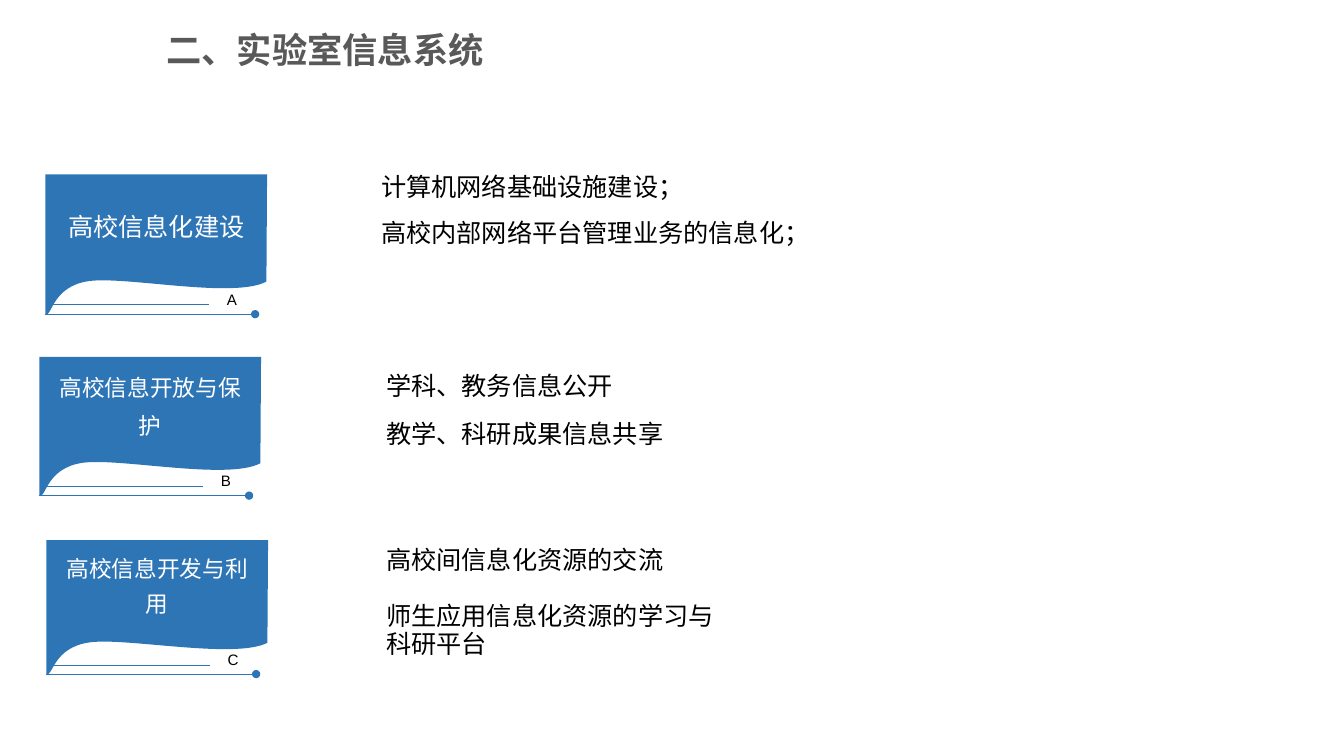
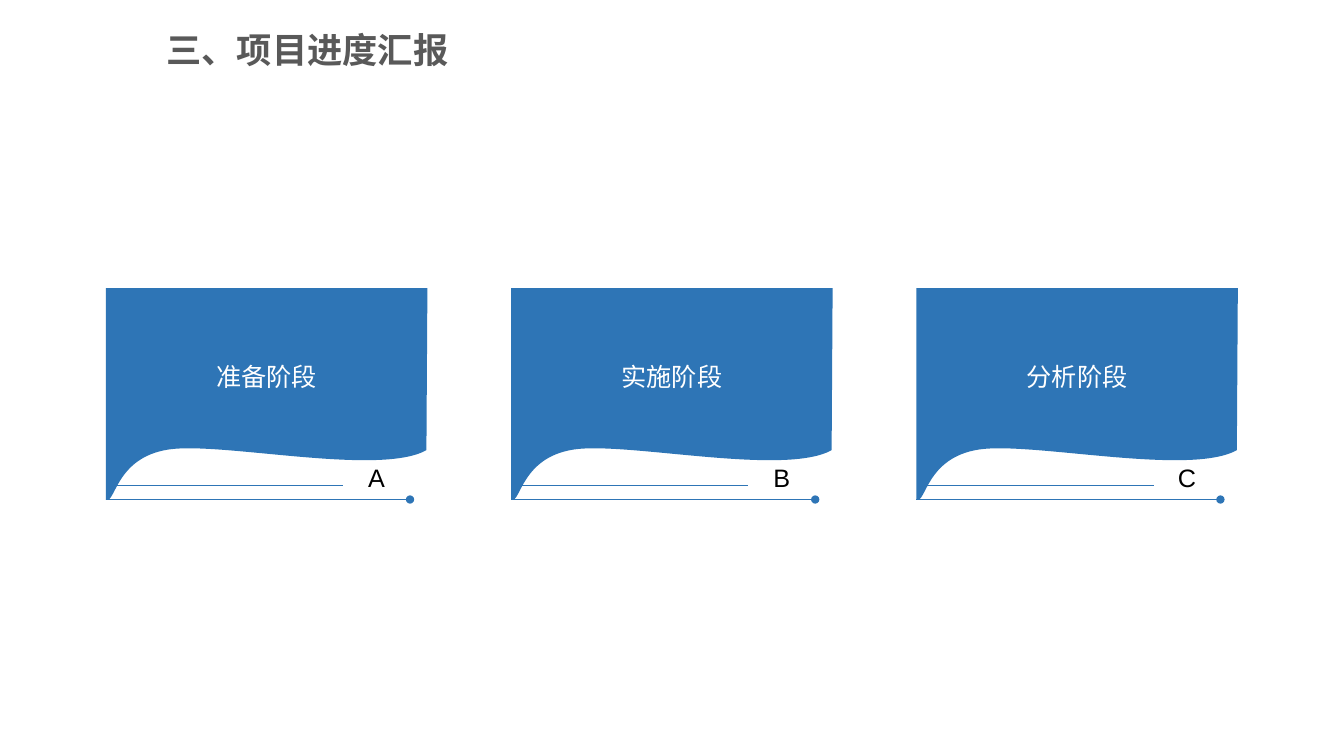
from lxml import etree
from pptx import Presentation
from pptx import util as u
from pptx.dml.color import RGBColor
from pptx.enum import lang, shapes, text
from pptx.oxml import ns

# Content: cards are (title, size, line spacing), lists are (text, leading, gap)
HEADS = ["二、实验室信息系统", "三、项目进度汇报"]
TOPICS = [("高校信息化建设", 18, 1.5),
          ("高校信息开放与保护", 16.2, 1.4),
          ("高校信息开发与利用", 16.2, 1.3)]
STAGES = [(name, 18, 1.5) for name in ("准备阶段", "实施阶段", "分析阶段")]
BUILD = [("计算机网络基础设施建设；", 16, 0),
         ("高校内部网络平台管理业务的信息化；", 17, 16)]
SHARE = [("学科、教务信息公开", 17, 0),
         ("教学、科研成果信息共享", 17, 17),
         ("高校间信息化资源的交流", 10, 80),
         ("师生应用信息化资源的学习与", 10, 30),
         ("科研平台", 10, 10)]

# Shared look; card parts are percentages of the card's width and height
BLUE, GREY, WHITE, BLACK = "2E75B6", "595959", "FFFFFF", "000000"
SANS, SERIF = "Arial", "Times New Roman"
HEAD = (1.55, 0.23, 5.65, 0.57)
EDGE = [[(100, 0)],
        [(99.7, 76.5)],
        [(85, 89), (36, 72.4), (19.5, 76.2)],
        [(3, 80), (3, 102), (0, 100)],
        [(0, 64)]]
RULES = [(3, 73.8, 93, None), (0, 94.6, 99.8, "oval")]
TAG = (75.2, 78.6, 18, 21.2)


def color(code):
    return RGBColor.from_string(code)


def place(item, box):
    item.left, item.top, item.width, item.height = map(u.Inches, box)


def setup(frame, pads, anchor):
    frame.word_wrap = True
    frame.auto_size = text.MSO_AUTO_SIZE.NONE
    frame.vertical_anchor = anchor
    (frame.margin_left, frame.margin_top,
     frame.margin_right, frame.margin_bottom) = map(u.Inches, pads)


def write(para, words, size, code, font=SANS, bold=False):
    run = para.add_run()
    run.text = words
    face = run.font
    face.size, face.name, face.bold = u.Pt(size), font, bold
    face.color.rgb = color(code)
    face.language_id = lang.MSO_LANGUAGE_ID.SIMPLIFIED_CHINESE


def title(slide, words):
    item = slide.shapes.title
    place(item, HEAD)
    setup(item.text_frame, (0.1, 0.05, 0.1, 0.05), text.MSO_ANCHOR.TOP)
    para = item.text_frame.paragraphs[0]
    para.alignment = text.PP_ALIGN.LEFT
    write(para, words, 25.2, GREY, bold=True)


def listing(item, box, pads, rows):
    place(item, box)
    frame = item.text_frame
    setup(frame, pads, text.MSO_ANCHOR.TOP)
    for i, (words, lead, gap) in enumerate(rows):
        para = frame.add_paragraph() if i else frame.paragraphs[0]
        para.line_spacing, para.space_before = u.Pt(lead), u.Pt(gap)
        # No bullet and no indent
        props = para._p.get_or_add_pPr()
        props.set("marL", "0")
        props.set("indent", "0")
        etree.SubElement(props, ns.qn("a:buNone"))
        write(para, words, 18, BLACK, SERIF)


def card(slide, box, letter, size, words, scale, lead):
    left, top, wide, high = box
    group = slide.shapes.add_group_shape().shapes

    def span(x, y):
        return u.Inches(x * wide / 100), u.Inches(y * high / 100)

    def at(x, y):
        dx, dy = span(x, y)
        return u.Inches(left) + dx, u.Inches(top) + dy

    # Rules under the page
    for x1, x2, y, end in RULES:
        rule = group.add_connector(shapes.MSO_CONNECTOR.STRAIGHT,
                                   *at(x1, y), *at(x2, y))
        rule.line.width = u.Pt(0.5)
        rule.line.color.rgb = color(BLUE)
        if end:
            etree.SubElement(rule.line._get_or_add_ln(),
                             ns.qn("a:tailEnd"), type=end)
        etree.SubElement(rule._element.spPr, ns.qn("a:effectLst"))

    # Page with a curled lower edge: straight outline, then two curves
    pen = group.build_freeform(*at(0, 0))
    pen.add_line_segments([at(*part[-1]) for part in EDGE], close=True)
    page = pen.convert_to_shape()
    lines = list(page._element.iter(ns.qn("a:lnTo")))
    for line, part in zip(lines, EDGE):
        if len(part) == 3:
            line.addprevious(curve := etree.Element(ns.qn("a:cubicBezTo")))
            for spot in part:
                x, y = span(*spot)
                etree.SubElement(curve, ns.qn("a:pt"), x=str(x), y=str(y))
            line.getparent().remove(line)
    page.shadow.inherit = False
    page.fill.solid()
    page.fill.fore_color.rgb = color(BLUE)
    page.line.fill.background()
    setup(page.text_frame, (0.1, 0.05, 0.1, 0.55), text.MSO_ANCHOR.MIDDLE)
    para = page.text_frame.paragraphs[0]
    para.alignment, para.line_spacing = text.PP_ALIGN.CENTER, lead
    write(para, words, scale, WHITE)

    # Letter
    tag = group.add_textbox(*at(*TAG[:2]), *span(*TAG[2:]))
    setup(tag.text_frame, (0.1, 0.05, 0.1, 0.05), text.MSO_ANCHOR.MIDDLE)
    para = tag.text_frame.paragraphs[0]
    para.alignment = text.PP_ALIGN.CENTER
    write(para, letter, size, BLACK)


deck = Presentation()
deck.slide_width, deck.slide_height = u.Inches(40 / 3), u.Inches(7.5)

# Information system: a column of cards beside two lists
slide = deck.slides.add_slide(deck.slide_layouts[3])
title(slide, HEADS[0])
SPOTS = [(0.45, 1.73, 2.2, 1.39),
         (0.39, 3.54, 2.2, 1.38),
         (0.46, 5.36, 2.2, 1.33)]
for box, letter, topic in zip(SPOTS, "ABC", TOPICS):
    card(slide, box, letter, 10.8, *topic)
first, second = list(slide.placeholders)[1:]
listing(first, (3.68, 1.73, 6.58, 1.5), (0.1, 0.05, 0.1, 0.05), BUILD)
listing(second, (3.83, 3.74, 3.26, 2.87), (0, 0, 0, 0.05), SHARE)

# Project progress: a row of cards
slide = deck.slides.add_slide(deck.slide_layouts[5])
title(slide, HEADS[1])
for i, (letter, stage) in enumerate(zip("ABC", STAGES)):
    card(slide, (1.05 + 4.02 * i, 2.86, 3.19, 2.1), letter, 18, *stage)

deck.save("out.pptx")
